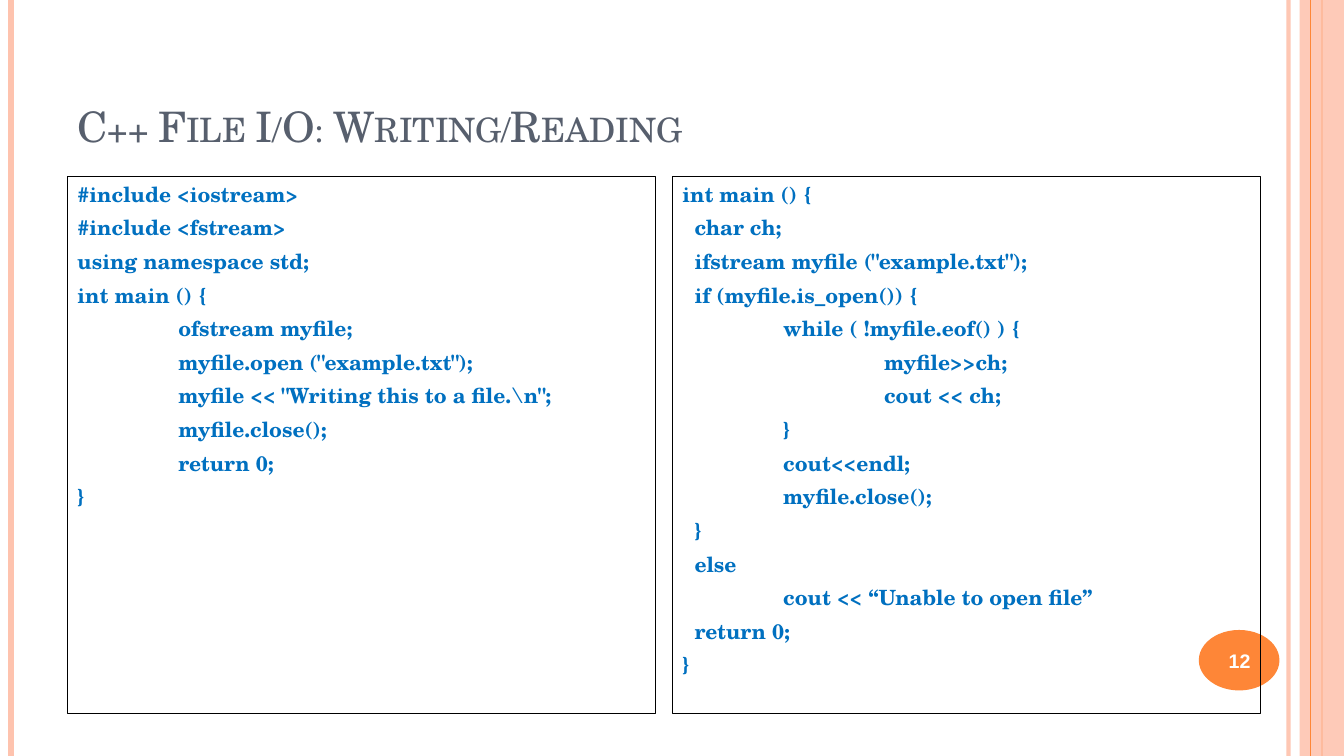
import pptx
import pptx.dml.color
import pptx.enum.shapes
import pptx.enum.text
import pptx.oxml.ns
import pptx.util
from lxml import etree
from pptx.util import Inches

SERIF = "TeX Gyre Schola"
PEACH, ORANGE, WHITE = "FEC3AE", "FE8637", "FFFFFF"
CODE_STYLE = {"size": 15, "name": SERIF, "color": "0070C0", "bold": True}
TITLE_STYLE = {"size": 30, "name": SERIF, "color": "575F6D", "bold": False}
NUMBER_STYLE = {"size": 14, "name": "Arial", "color": WHITE, "bold": True}
SPACE_INDENT = 0.12  # one half-step of code indentation, in inches

WRITING_CODE = r"""#include <iostream>
#include <fstream>
using namespace std;
int main () {
	ofstream myfile;
	myfile.open ("example.txt");
	myfile << "Writing this to a file.\n";
	myfile.close();
	return 0;
}"""

READING_CODE = """int main () {
  char ch;
  ifstream myfile ("example.txt");
  if (myfile.is_open()) {
	while ( !myfile.eof() ) {
		myfile>>ch;
		cout << ch;
	}
	cout<<endl;
	myfile.close();
  }
  else
	cout << “Unable to open file”
  return 0;
}"""


def rgb(color):
    return pptx.dml.color.RGBColor.from_string(color)


def add_element(parent, tag, **values):
    element = etree.SubElement(parent, pptx.oxml.ns.qn(tag))
    for key, value in values.items():
        element.set(key, str(value))
    return element


def set_opacity(element, percent):
    for color in element.iter(pptx.oxml.ns.qn("a:srgbClr")):
        add_element(color, "a:alpha", val=percent * 1000)


class SlideBuilder:
    def __init__(self, deck):
        self.page = deck.slides.add_slide(deck.slide_layouts[5])
        self.shapes = self.page.shapes

    def format_frame(self, frame, anchor):
        values = {"word_wrap": True, "vertical_anchor": anchor,
                  "auto_size": pptx.enum.text.MSO_AUTO_SIZE.NONE}
        for name, value in values.items():
            setattr(frame, name, value)

    def add_span(self, para, text, style):
        span = para.add_run()
        span.text = text
        values = dict(style, size=pptx.util.Pt(style["size"]))
        span.font.color.rgb = rgb(values.pop("color"))
        for name, value in values.items():
            setattr(span.font, name, value)
        return span

    def vertical_line(self, x, color, width, opacity=100):
        line = self.shapes.add_connector(
            pptx.enum.shapes.MSO_CONNECTOR.STRAIGHT,
            Inches(x), Inches(0), Inches(x), Inches(7.5))
        line.line.color.rgb = rgb(color)
        line.line.width = pptx.util.Pt(width)
        properties = line._element.spPr
        if opacity < 100:
            set_opacity(properties, opacity)
        add_element(properties, "a:effectLst")

    def shape(self, kind, place, color, opacity=100):
        shape = self.shapes.add_shape(kind, *map(Inches, place))
        shape.shadow.inherit = False
        shape.fill.solid()
        shape.fill.fore_color.rgb = rgb(color)
        shape.line.fill.background()
        if opacity < 100:
            set_opacity(shape._element.spPr, opacity)

    def title(self, text, place):
        title = self.shapes.title
        for name, value in zip(("left", "top", "width", "height"), place):
            setattr(title, name, Inches(value))
        self.format_frame(title.text_frame, pptx.enum.text.MSO_ANCHOR.BOTTOM)
        para = title.text_frame.paragraphs[0]
        para.alignment = pptx.enum.text.PP_ALIGN.LEFT
        span = self.add_span(para, text, TITLE_STYLE)
        span._r.get_or_add_rPr().set("cap", "small")

    def code_box(self, code, place):
        box = self.shapes.add_textbox(*map(Inches, place))
        box.line.color.rgb = rgb("000000")
        box.line.width = pptx.util.Pt(0.75)
        frame = box.text_frame
        self.format_frame(frame, pptx.enum.text.MSO_ANCHOR.TOP)
        for number, line in enumerate(code.split("\n")):
            para = frame.add_paragraph() if number else frame.paragraphs[0]
            para.space_before = pptx.util.Pt(6)
            properties = para._p.get_or_add_pPr()
            if line.startswith(" "):
                properties.set("marL", str(Inches(SPACE_INDENT)))
                properties.set("indent", "0")
            tabs = add_element(properties, "a:tabLst")
            for stop in (1, 2):
                add_element(tabs, "a:tab", pos=Inches(stop), algn="l")
            self.add_span(para, line.lstrip(" "), CODE_STYLE)

    def page_number(self, text, place):
        box = self.shapes.add_textbox(*map(Inches, place))
        self.format_frame(box.text_frame, pptx.enum.text.MSO_ANCHOR.MIDDLE)
        para = box.text_frame.paragraphs[0]
        para.alignment = pptx.enum.text.PP_ALIGN.CENTER
        self.add_span(para, text, NUMBER_STYLE)


def main():
    deck = pptx.Presentation()
    deck.slide_width, deck.slide_height = Inches(13.33), Inches(7.5)
    slide = SlideBuilder(deck)
    shape_kinds = pptx.enum.shapes.MSO_SHAPE

    # Side stripes
    slide.vertical_line(12.78, PEACH, 3, 93)
    slide.vertical_line(0.11, PEACH, 4.5)
    slide.vertical_line(13.11, ORANGE, 1.5)
    slide.shape(shape_kinds.RECTANGLE, (12.89, 0, 0.44, 7.5), PEACH, 87)
    slide.vertical_line(13, ORANGE, 0.75)

    # Title
    slide.title("C++ File I/O: Writing/Reading", (0.67, 0.3, 11.22, 1.25))

    # Page number badge
    slide.shape(shape_kinds.OVAL, (11.89, 6.25, 0.8, 0.6), ORANGE)
    slide.page_number("12", (11.85, 6.27, 0.89, 0.57))

    # Code panels
    for column, code in enumerate((WRITING_CODE, READING_CODE)):
        slide.code_box(code, (0.67 + 6 * column, 1.75, 5.83, 5.33))

    deck.save("out.pptx")


if __name__ == "__main__":
    main()
